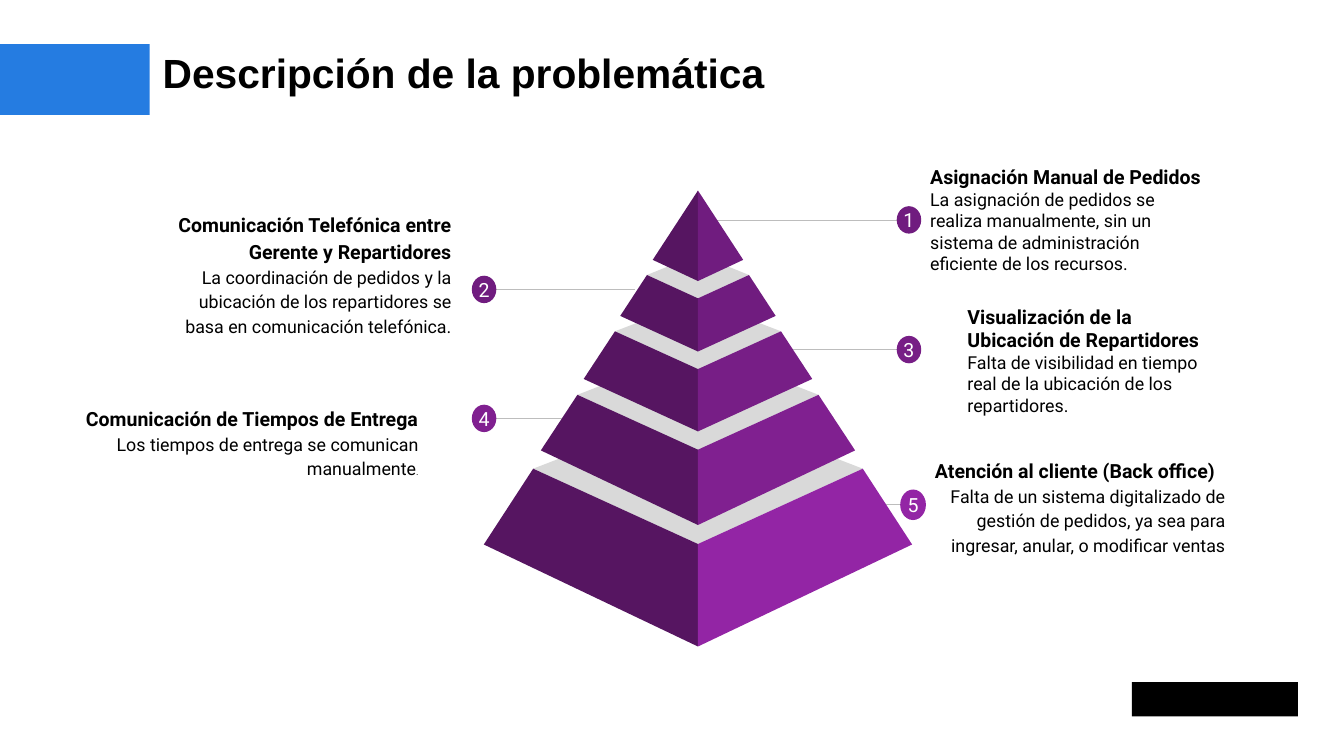
from dataclasses import dataclass

import lxml.etree
import pptx
import pptx.dml.color
import pptx.enum.shapes
import pptx.enum.text
import pptx.oxml.ns
import pptx.util

Cm = pptx.util.Cm
Pt = pptx.util.Pt
ALIGN = pptx.enum.text.PP_ALIGN
ANCHOR = pptx.enum.text.MSO_ANCHOR
SHAPE = pptx.enum.shapes.MSO_SHAPE

COLORS = {
    "black": "000000",
    "white": "FFFFFF",
    "bar": "257CE1",
    "rule": "BDBDBD",
    "top": "D9D9D9",
    "left": "561561",
    "tier1": "701C7F",
    "tier2": "701C7F",
    "tier3": "771E86",
    "tier4": "802090",
    "tier5": "9325A5",
}
AXIS = 29.01  # centre line of the pyramid, cm
INSET = 0.33


@dataclass
class Tier:
    """Pyramid tier in cm: half-widths and heights from its back corner down."""
    number: int
    back: float
    top_half: float
    shoulder: float
    top_front: float
    foot_half: float
    foot: float
    bottom: float


@dataclass
class Callout:
    number: int
    edge: float
    badge: tuple[float, float]
    box: tuple[float, float, float, float]
    heading: str
    body: str
    heading_align: ALIGN = ALIGN.LEFT
    body_align: ALIGN = ALIGN.LEFT
    spacing: float = 1.0
    badge_size: tuple[float, float] = (1.02, 1.14)
    small_end: str = ""


TIERS = [
    Tier(5, 16.84, 6.85, 19.48, 22.61, 8.9, 22.63, 26.87),
    Tier(4, 14.45, 5.01, 16.41, 18.69, 6.53, 18.72, 21.82),
    Tier(3, 12.45, 3.45, 13.77, 15.34, 4.75, 15.75, 17.93),
    Tier(2, 10.57, 2.12, 11.43, 12.4, 3.23, 13.13, 14.61),
    Tier(1, 7.92, 0, 7.92, 7.92, 1.88, 10.8, 11.68),
]

CALLOUTS = [
    Callout(1, 29.74, (37.78, 9.14), (38.33, 6.96, 12.34, 4.34),
            "Asignación Manual de Pedidos",
            "La asignación de pedidos se realiza manualmente, sin un sistema "
            "de administración eficiente de los recursos."),
    Callout(3, 32.46, (37.78, 14.53), (39.88, 12.8, 10.8, 4.34),
            "Visualización de la Ubicación de Repartidores",
            "Falta de visibilidad en tiempo real de la ubicación de los repartidores."),
    Callout(5, 35.03, (37.95, 20.98), (38.53, 18.64, 12.73, 4.75),
            "Atención al cliente (Back office)",
            "Falta de un sistema digitalizado de gestión de pedidos, ya sea para "
            "ingresar, anular, o modificar ventas",
            body_align=ALIGN.RIGHT, spacing=1.15, badge_size=(1.07, 1.27)),
    Callout(2, 26.39, (20.12, 12.03), (6.15, 9.19, 12.95, 4.34),
            "Comunicación Telefónica entre Gerente y Repartidores",
            "La coordinación de pedidos y la ubicación de los repartidores se basa "
            "en comunicación telefónica.",
            ALIGN.RIGHT, ALIGN.RIGHT, 1.15),
    Callout(4, 24.13, (20.12, 17.39), (2.95, 16.18, 14.78, 4.34),
            "Comunicación de Tiempos de Entrega",
            "Los tiempos de entrega se comunican manualmente",
            ALIGN.RIGHT, ALIGN.RIGHT, 1.15, small_end="."),
]


def rgb(name: str) -> pptx.dml.color.RGBColor:
    return pptx.dml.color.RGBColor.from_string(COLORS[name])


def paint(sp, color: str) -> None:
    """Give a shape a flat fill without line or shadow."""
    sp.fill.solid()
    sp.fill.fore_color.rgb = rgb(color)
    sp.line.fill.background()
    sp.shadow.inherit = False


def add_preset(s, kind: SHAPE, box: tuple, color: str):
    sp = s.shapes.add_shape(kind, *map(Cm, box))
    paint(sp, color)
    return sp


def add_face(s, points: list[tuple[float, float]], color: str) -> None:
    corners = [(Cm(AXIS + x), Cm(y)) for x, y in points]
    outline = s.shapes.build_freeform(*corners[0])
    outline.add_line_segments(corners[1:])
    paint(outline.convert_to_shape(), color)


def add_run(p, text: str, size: float, font: str = "Roboto",
            color: str = "black", bold: bool = False) -> None:
    r = p.add_run()
    r.text = text
    r.font.size = Pt(size)
    r.font.name = font
    r.font.bold = bold
    r.font.color.rgb = rgb(color)


def set_frame(tf, inset: float, anchor: ANCHOR, wrap: bool = True) -> None:
    tf.margin_left = tf.margin_right = tf.margin_top = tf.margin_bottom = Cm(inset)
    tf.vertical_anchor = anchor
    tf.word_wrap = wrap


def add_title(s, text: str) -> None:
    tf = s.shapes.add_textbox(Cm(6.76), Cm(1.98), Cm(47.19), Cm(2.06)).text_frame
    set_frame(tf, 0, ANCHOR.TOP)
    add_run(tf.paragraphs[0], text, 48, "Arial", bold=True)


def add_callout(s, c: Callout) -> None:
    """Draw the rule, numbered badge and text of one callout."""
    x, y = c.badge
    rule = s.shapes.add_connector(pptx.enum.shapes.MSO_CONNECTOR.STRAIGHT,
                                  Cm(c.edge), Cm(y), Cm(x), Cm(y))
    rule.line.color.rgb = rgb("rule")
    rule.line.width = Pt(0.75)
    lxml.etree.SubElement(rule._element.spPr, pptx.oxml.ns.qn("a:effectLst"))

    w, h = c.badge_size
    badge = add_preset(s, SHAPE.OVAL, (x - w / 2, y - h / 2, w, h), f"tier{c.number}")
    set_frame(badge.text_frame, 0, ANCHOR.MIDDLE, wrap=False)
    p = badge.text_frame.paragraphs[0]
    p.alignment = ALIGN.CENTER
    add_run(p, str(c.number), 23, color="white")

    tf = s.shapes.add_textbox(*map(Cm, c.box)).text_frame
    set_frame(tf, INSET, ANCHOR.MIDDLE)
    heading, body = tf.paragraphs[0], tf.add_paragraph()
    heading.alignment, body.alignment = c.heading_align, c.body_align
    heading.line_spacing = body.line_spacing = c.spacing
    body.space_after = Pt(21)
    add_run(heading, c.heading, 23, bold=True)
    add_run(body, c.body, 21)
    if c.small_end:
        add_run(body, c.small_end, 11)


def add_tier(s, t: Tier) -> None:
    if t.top_half:
        add_face(s, [(-t.top_half, t.shoulder), (0, t.top_front),
                     (t.top_half, t.shoulder), (0, t.back)], "top")
    for side, color in ((-1, "left"), (1, f"tier{t.number}")):
        add_face(s, [(side * t.top_half, t.shoulder), (0, t.top_front),
                     (0, t.bottom), (side * t.foot_half, t.foot)], color)


def main() -> None:
    prs = pptx.Presentation()
    prs.slide_width, prs.slide_height = Cm(55.86), Cm(31.42)
    s = prs.slides.add_slide(prs.slide_layouts[6])
    add_preset(s, SHAPE.RECTANGLE, (0, 1.83, 6.22, 2.95), "bar")
    add_preset(s, SHAPE.RECTANGLE, (47.04, 28.35, 6.91, 1.42), "black")
    add_title(s, "Descripción de la problemática")
    for c in CALLOUTS:
        add_callout(s, c)
    for t in TIERS:
        add_tier(s, t)
    prs.save("out.pptx")


if __name__ == "__main__":
    main()
